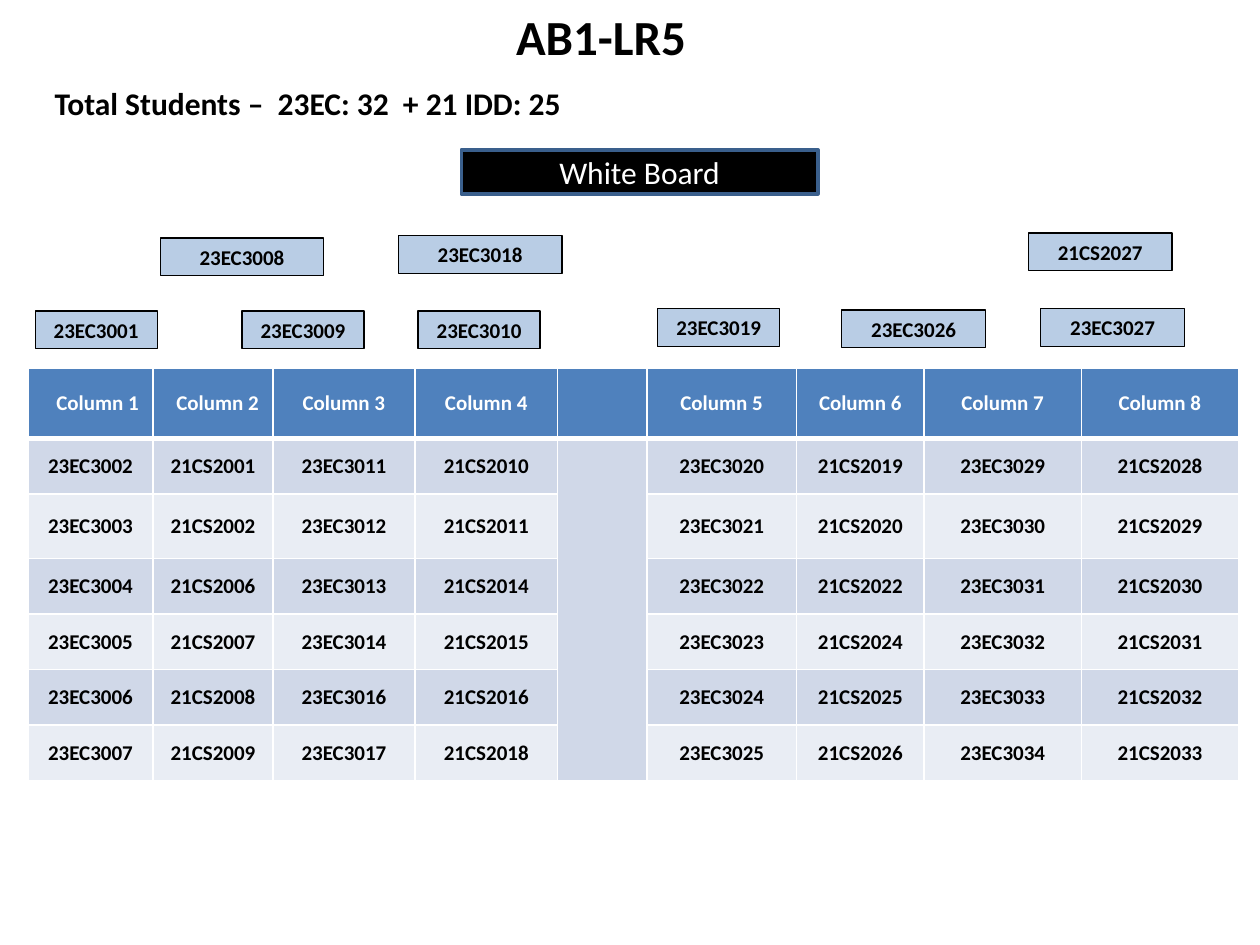
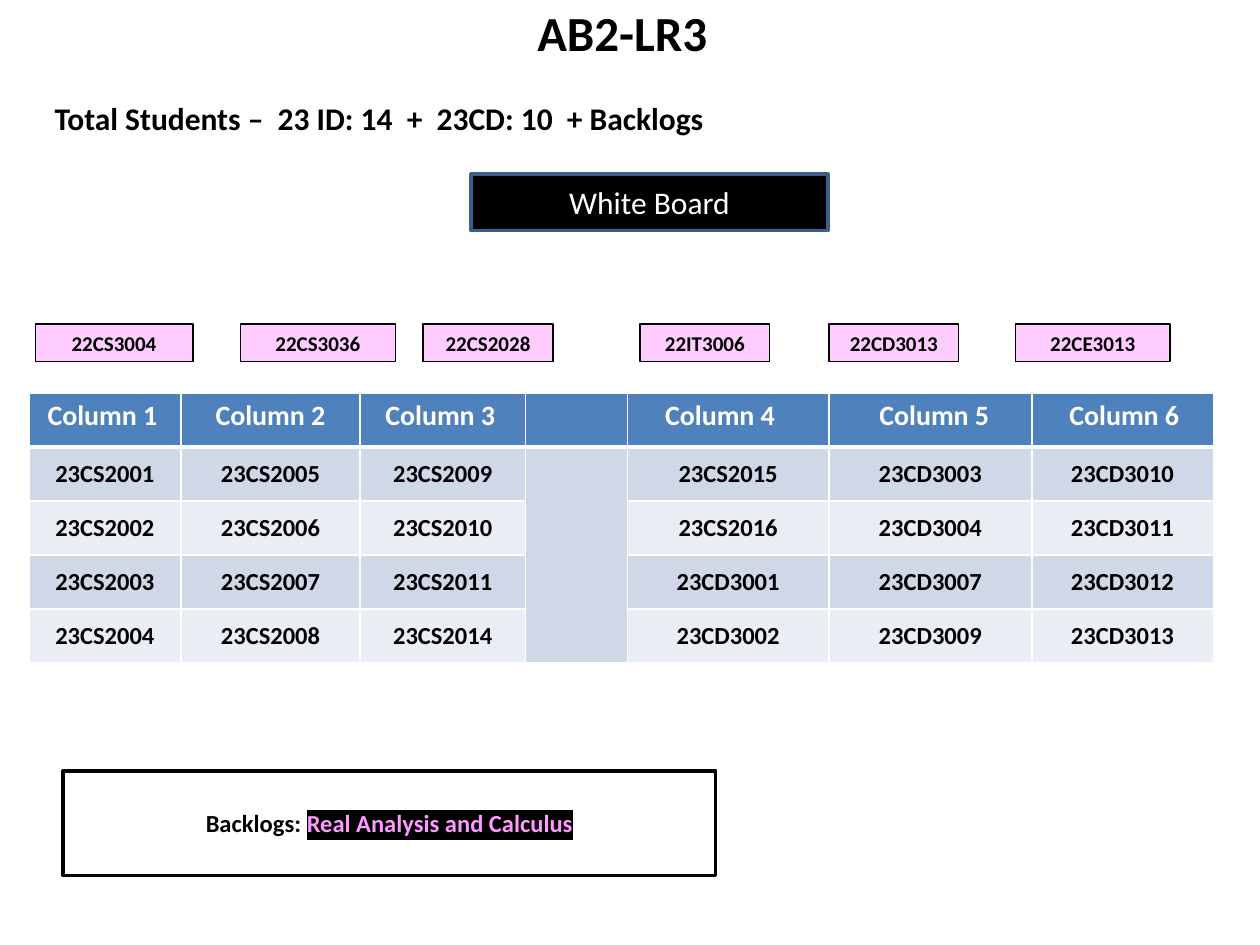
from dataclasses import dataclass

import lxml.etree
import pptx
import pptx.dml.color
import pptx.enum.shapes
import pptx.enum.text
import pptx.oxml.ns
import pptx.util

Cm = pptx.util.Cm
Pt = pptx.util.Pt
Align = pptx.enum.text.PP_ALIGN
Anchor = pptx.enum.text.MSO_ANCHOR
qn = pptx.oxml.ns.qn

FONT = "Calibri"
COLORS = {
    "black": "000000",
    "white": "FFFFFF",
    "board_edge": "3A5F8C",
    "header": "4F81BD",
    "band_dark": "D0D8E8",
    "band_light": "E9EDF4",
    "regular": "B9CDE5",
    "backlog": "FFCCFF",
    "backlog_text": "FF99FF",
}
TITLE_SIZE = (25.15, 1.45)
BOARD_WIDTH = 7.19
SEAT_HEIGHT = 0.76
CELL_MARGIN = 0.25


@dataclass
class Box:
    left: float
    top: float
    width: float
    height: float

    def lengths(self) -> tuple:
        return Cm(self.left), Cm(self.top), Cm(self.width), Cm(self.height)


@dataclass
class Seat:
    student: str
    left: float
    top: float
    width: float


@dataclass
class Column:
    width: float
    heading: str = ""
    students: str = ""
    indent: float = 0
    align: Align = Align.CENTER


@dataclass
class Seating:
    left: float
    top: float
    row_heights: list[float]
    columns: list[Column]
    header_size: int
    student_size: int
    header_anchor: Anchor


@dataclass
class Room:
    title: str
    title_at: tuple[float, float]
    total: str
    total_box: Box
    board_box: Box
    seat_color: str
    seats: list[Seat]
    seating: Seating


def rgb(color: str) -> pptx.dml.color.RGBColor:
    return pptx.dml.color.RGBColor.from_string(COLORS[color])


def write(frame, text: str, size: int, color: str = "black", bold: bool = True,
          align: Align = Align.CENTER) -> None:
    frame.text = text
    for paragraph in frame.paragraphs:
        paragraph.alignment = align
        for run in paragraph.runs:
            style_run(run, size, color, bold)


def style_run(run, size: int, color: str, bold: bool = True) -> None:
    run.font.name = FONT
    run.font.size = Pt(size)
    run.font.bold = bold
    run.font.color.rgb = rgb(color)


def highlight(run, color: str) -> None:
    mark = lxml.etree.Element(qn("a:highlight"))
    lxml.etree.SubElement(mark, qn("a:srgbClr"), val=COLORS[color])
    run.font._element.find(qn("a:solidFill")).addnext(mark)


def add_panel(slide, box: Box, fill: str, edge: str, edge_width: float):
    panel = slide.shapes.add_shape(pptx.enum.shapes.MSO_SHAPE.RECTANGLE, *box.lengths())
    panel.shadow.inherit = False
    panel.fill.solid()
    panel.fill.fore_color.rgb = rgb(fill)
    panel.line.color.rgb = rgb(edge)
    panel.line.width = Pt(edge_width)
    panel.text_frame.vertical_anchor = Anchor.MIDDLE
    return panel.text_frame


def add_heading(slide, room: Room) -> None:
    title = slide.shapes.title
    title.left, title.top, title.width, title.height = Box(*room.title_at, *TITLE_SIZE).lengths()
    write(title.text_frame, room.title, 28)
    title.text_frame.vertical_anchor = Anchor.TOP
    title.text_frame.auto_size = pptx.enum.text.MSO_AUTO_SIZE.NONE

    total = slide.shapes.add_textbox(*room.total_box.lengths()).text_frame
    total.word_wrap = True
    total.margin_left = Cm(0.39)
    write(total, room.total, 18, align=Align.LEFT)


def add_seat(slide, seat: Seat, color: str) -> None:
    box = Box(seat.left, seat.top, seat.width, SEAT_HEIGHT)
    frame = add_panel(slide, box, color, "black", 0.75)
    frame.vertical_anchor = Anchor.TOP
    write(frame, seat.student, 12)


def set_borders(cell, top: float, bottom: float) -> None:
    properties = cell._tc.get_or_add_tcPr()
    for position, (side, width) in enumerate((("L", 1), ("R", 1), ("T", top), ("B", bottom))):
        line = lxml.etree.Element(qn(f"a:ln{side}"), w=str(Pt(width)))
        fill = lxml.etree.SubElement(line, qn("a:solidFill"))
        lxml.etree.SubElement(fill, qn("a:srgbClr"), val=COLORS["white"])
        properties.insert(position, line)


def paint_cell(cell, row: int) -> None:
    band = "band_dark" if row % 2 else "band_light"
    cell.fill.solid()
    cell.fill.fore_color.rgb = rgb(band if row else "header")
    set_borders(cell, top=3 if row == 1 else 1, bottom=1 if row else 3)


def add_seating(slide, seating: Seating) -> None:
    widths = [column.width for column in seating.columns]
    heights = seating.row_heights
    box = Box(seating.left, seating.top, sum(widths), sum(heights))
    table = slide.shapes.add_table(len(heights), len(widths), *box.lengths()).table
    table.horz_banding = False
    for row, height in zip(table.rows, heights):
        row.height = Cm(height)

    for index, column in enumerate(seating.columns):
        table.columns[index].width = Cm(column.width)
        for row in range(len(heights)):
            paint_cell(table.cell(row, index), row)
        if not column.heading:
            table.cell(1, index).merge(table.cell(len(heights) - 1, index))
            continue
        header = table.cell(0, index)
        header.vertical_anchor = seating.header_anchor
        header.margin_left = Cm(CELL_MARGIN + column.indent)
        write(header.text_frame, column.heading, seating.header_size, "white", align=column.align)
        for row, student in enumerate(column.students.split(), start=1):
            cell = table.cell(row, index)
            cell.vertical_anchor = Anchor.MIDDLE
            cell.margin_left = cell.margin_right = Cm(0.08)
            cell.margin_top = cell.margin_bottom = 0
            write(cell.text_frame, student, seating.student_size)


def add_room(deck, room: Room):
    slide = deck.slides.add_slide(deck.slide_layouts.get_by_name("Title Only"))
    add_seating(slide, room.seating)
    add_heading(slide, room)
    board = add_panel(slide, room.board_box, "black", "board_edge", 2)
    write(board, "White Board", 18, "white", bold=False)
    for seat in room.seats:
        add_seat(slide, seat, room.seat_color)
    return slide


def add_backlog_note(slide) -> None:
    note = add_panel(slide, Box(1.27, 15.54, 13.16, 2.11), "white", "black", 2)
    write(note, "Backlogs: ", 14)
    subject = note.paragraphs[0].add_run()
    subject.text = "Real Analysis and Calculus"
    style_run(subject, 14, "backlog_text")
    highlight(subject, "black")


FIRST_ROOM = Room(
    title="AB1-LR5",
    title_at=(-0.46, 0),
    total="Total Students –  23EC: 32  + 21 IDD: 25",
    total_box=Box(0.71, 1.57, 16.26, 1.02),
    board_box=Box(9.3, 3.02, BOARD_WIDTH, 0.89),
    seat_color="regular",
    seats=[
        Seat("23EC3001", 0.71, 6.27, 2.46),
        Seat("23EC3008", 3.23, 4.8, 3.3),
        Seat("23EC3009", 4.88, 6.27, 2.46),
        Seat("23EC3010", 8.43, 6.27, 2.46),
        Seat("23EC3019", 13.26, 6.22, 2.46),
        Seat("23EC3026", 16.97, 6.25, 2.9),
        Seat("23EC3027", 20.98, 6.22, 2.9),
        Seat("21CS2027", 20.73, 4.7, 2.9),
        Seat("23EC3018", 8.03, 4.75, 3.3),
    ],
    seating=Seating(
        left=0.56, top=7.42,
        row_heights=[1.42, 1.12, 1.3] + [1.12] * 4,
        columns=[
            Column(2.53, "Column 1", "23EC3002 23EC3003 23EC3004 23EC3005 23EC3006 23EC3007", 0.29),
            Column(2.41, "Column 2", "21CS2001 21CS2002 21CS2006 21CS2007 21CS2008 21CS2009", 0.19),
            Column(2.87, "Column 3", "23EC3011 23EC3012 23EC3013 23EC3014 23EC3016 23EC3017"),
            Column(2.87, "Column 4", "21CS2010 21CS2011 21CS2014 21CS2015 21CS2016 21CS2018"),
            Column(1.8),
            Column(3.02, "Column 5", "23EC3020 23EC3021 23EC3022 23EC3023 23EC3024 23EC3025"),
            Column(2.57, "Column 6", "21CS2019 21CS2020 21CS2022 21CS2024 21CS2025 21CS2026"),
            Column(3.17, "Column 7", "23EC3029 23EC3030 23EC3031 23EC3032 23EC3033 23EC3034"),
            Column(3.17, "Column 8", "21CS2028 21CS2029 21CS2030 21CS2031 21CS2032 21CS2033"),
        ],
        header_size=12, student_size=12, header_anchor=Anchor.MIDDLE,
    ),
)

SECOND_ROOM = Room(
    title="AB2-LR3",
    title_at=(-0.03, -0.08),
    total="Total Students –  23 ID: 14  +  23CD: 10  + Backlogs",
    total_box=Box(0.71, 1.88, 14.4, 1.02),
    board_box=Box(9.5, 3.51, BOARD_WIDTH, 1.14),
    seat_color="backlog",
    seats=[
        Seat("22CS3004", 0.71, 6.53, 3.18),
        Seat("22CS3036", 4.85, 6.53, 3.12),
        Seat("22CS2028", 8.53, 6.53, 2.62),
        Seat("22IT3006", 12.9, 6.53, 2.62),
        Seat("22CD3013", 16.71, 6.53, 2.62),
        Seat("22CE3013", 20.47, 6.53, 3.12),
    ],
    seating=Seating(
        left=0.58, top=7.92,
        row_heights=[1.09] * 5,
        columns=[
            Column(3.07, "Column 1", "23CS2001 23CS2002 23CS2003 23CS2004", 0.13, Align.LEFT),
            Column(3.61, "Column 2", "23CS2005 23CS2006 23CS2007 23CS2008"),
            Column(3.33, "Column 3", "23CS2009 23CS2010 23CS2011 23CS2014", 0.26, Align.LEFT),
            Column(2.06),
            Column(4.06, "Column 4", "23CS2015 23CS2016 23CD3001 23CD3002", 0.51, Align.LEFT),
            Column(4.09, "Column 5", "23CD3003 23CD3004 23CD3007 23CD3009", 0.77, Align.LEFT),
            Column(3.66, "Column 6", "23CD3010 23CD3011 23CD3012 23CD3013", 0.51, Align.LEFT),
        ],
        header_size=16, student_size=14, header_anchor=Anchor.TOP,
    ),
)

deck = pptx.Presentation()
deck.slide_width, deck.slide_height = Cm(25.4), Cm(19.05)
add_room(deck, FIRST_ROOM)
add_backlog_note(add_room(deck, SECOND_ROOM))
deck.save("out.pptx")
